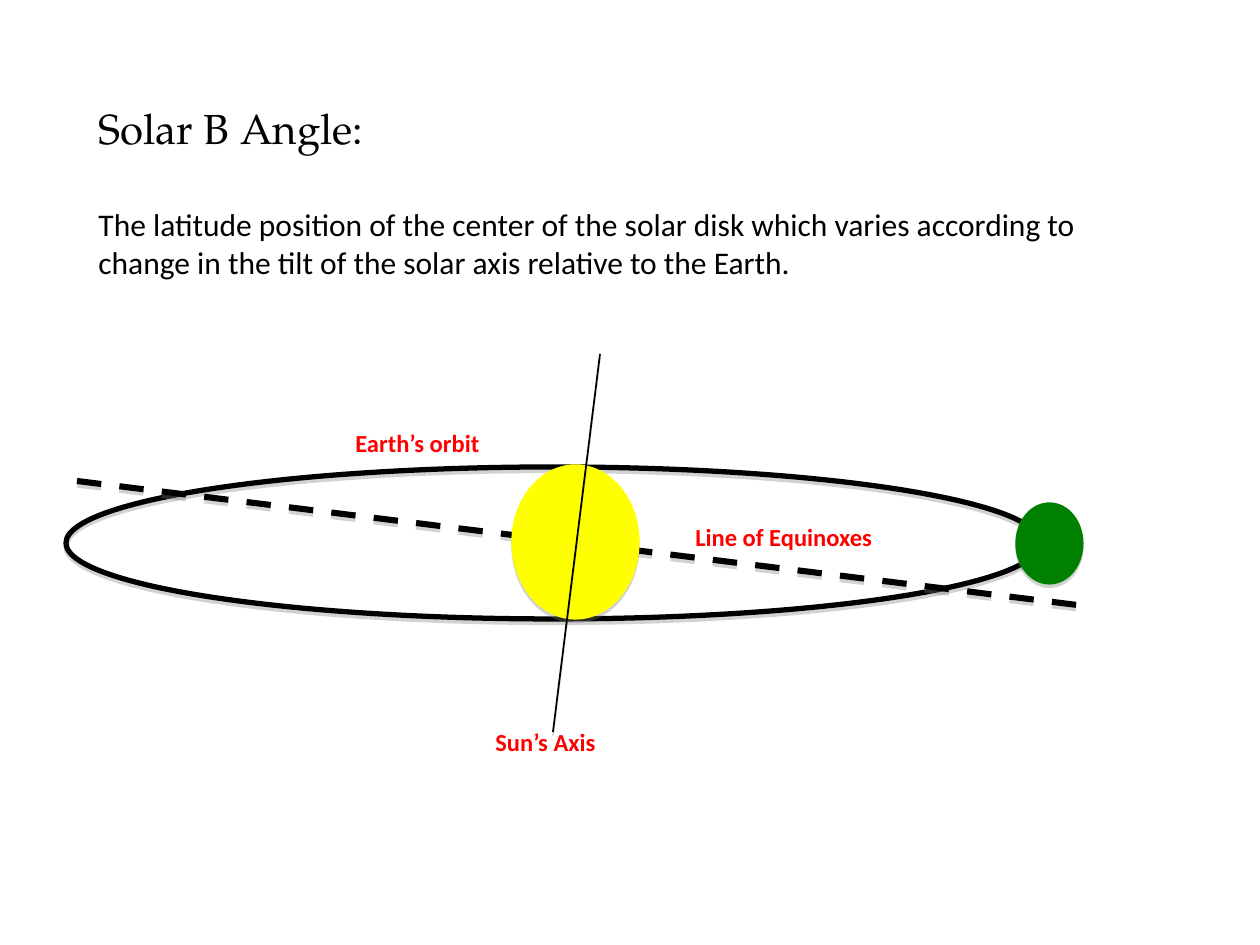
import pptx
import pptx.util
import pptx.dml.color
import pptx.enum.dml
import pptx.enum.shapes
import pptx.enum.text
import pptx.oxml
import pptx.oxml.ns

EMU_PER_PX = 914400 // 126
COLORS = {
    "ink": "000000",
    "earth": "008000",
    "sun": "FFFF00",
    "label": "FF0000",
    "shadow": "808080",
}


def px(*lengths):
    return [pptx.util.Emu(length * EMU_PER_PX) for length in lengths]


def color(name):
    return pptx.dml.color.RGBColor.from_string(COLORS[name])


def write(frame, text, font_name, size, color_name, bold=False):
    frame.word_wrap = True
    frame.vertical_anchor = pptx.enum.text.MSO_ANCHOR.TOP
    para = frame.paragraphs[0]
    para.text = text
    para.alignment = pptx.enum.text.PP_ALIGN.LEFT
    para.font.name = font_name
    para.font.size = pptx.util.Pt(size)
    para.font.bold = bold
    para.font.color.rgb = color(color_name)
    return para


def set_line(shape, color_name, width):
    shape.line.color.rgb = color(color_name)
    shape.line.width = pptx.util.Pt(width)


def add_shadow(shape):
    properties = shape._element.spPr
    effects = pptx.oxml.parse_xml(
        f'<a:effectLst {pptx.oxml.ns.nsdecls("a")}>'
        '<a:outerShdw blurRad="0" dist="25400" dir="5400000" rotWithShape="0">'
        f'<a:srgbClr val="{COLORS["shadow"]}"><a:alpha val="35000"/></a:srgbClr>'
        "</a:outerShdw></a:effectLst>"
    )
    properties.append(effects)


def add_ellipse(group, box, line_color, fill_color=None):
    ellipse = group.shapes.add_shape(pptx.enum.shapes.MSO_SHAPE.OVAL, *px(*box))
    if fill_color:
        ellipse.fill.solid()
        ellipse.fill.fore_color.rgb = color(fill_color)
    else:
        ellipse.fill.background()
    set_line(ellipse, line_color, 3)
    add_shadow(ellipse)


def add_line(group, ends, width, dash=None):
    line = group.shapes.add_connector(
        pptx.enum.shapes.MSO_CONNECTOR.STRAIGHT, *px(*ends)
    )
    set_line(line, "ink", width)
    if dash:
        line.line.dash_style = dash
    add_shadow(line)


def add_label(group, box, text):
    frame = group.shapes.add_textbox(*px(*box)).text_frame
    frame.margin_left = frame.margin_right = pptx.util.Inches(0.1)
    frame.margin_top = frame.margin_bottom = pptx.util.Inches(0.1)
    para = write(frame, text, "Calibri", 14, "label", bold=True)
    para.space_after = pptx.util.Pt(10)


def add_definition(page, left, top, width):
    title = page.shapes.title
    title.left, title.top, title.width, title.height = px(left, top, width, 70)
    write(title.text_frame, "Solar B Angle:", "TeX Gyre Pagella", 24, "ink")
    body = page.shapes.add_textbox(*px(left, top + 103, width, 88))
    write(
        body.text_frame,
        "The latitude position of the center of the solar disk which varies "
        "according to change in the tilt of the solar axis relative to the Earth.",
        "Calibri", 18, "ink",
    )


def add_orbit_diagram(page, left, top):
    group = page.shapes.add_group_shape()

    def place(x, y, width, height):
        return left + x, top + y, width, height

    def span(x1, y1, x2, y2):
        return left + x1, top + y1, left + x2, top + y2

    add_ellipse(group, place(0, 113, 975, 152), "ink")
    add_ellipse(group, place(952, 151, 63, 77), "earth", "earth")
    add_line(group, span(11, 127, 1011, 251), 3.5,
             pptx.enum.dml.MSO_LINE.DASH)
    add_label(group, place(617, 155, 239, 72), "Line of Equinoxes")
    add_label(group, place(277, 61, 189, 77), "Earth’s orbit")
    add_ellipse(group, place(448, 113, 123, 150), "sun", "sun")
    add_line(group, span(534, 0, 487, 378), 1)
    add_label(group, place(417, 360, 158, 62), "Sun’s Axis")


def main():
    deck = pptx.Presentation()
    deck.slide_width = pptx.util.Inches(10)
    deck.slide_height = pptx.util.Inches(7.5)
    page = deck.slides.add_slide(deck.slide_layouts[5])
    add_definition(page, 86, 96, 1082)
    add_orbit_diagram(page, 66, 354)
    deck.save("out.pptx")


if __name__ == "__main__":
    main()
